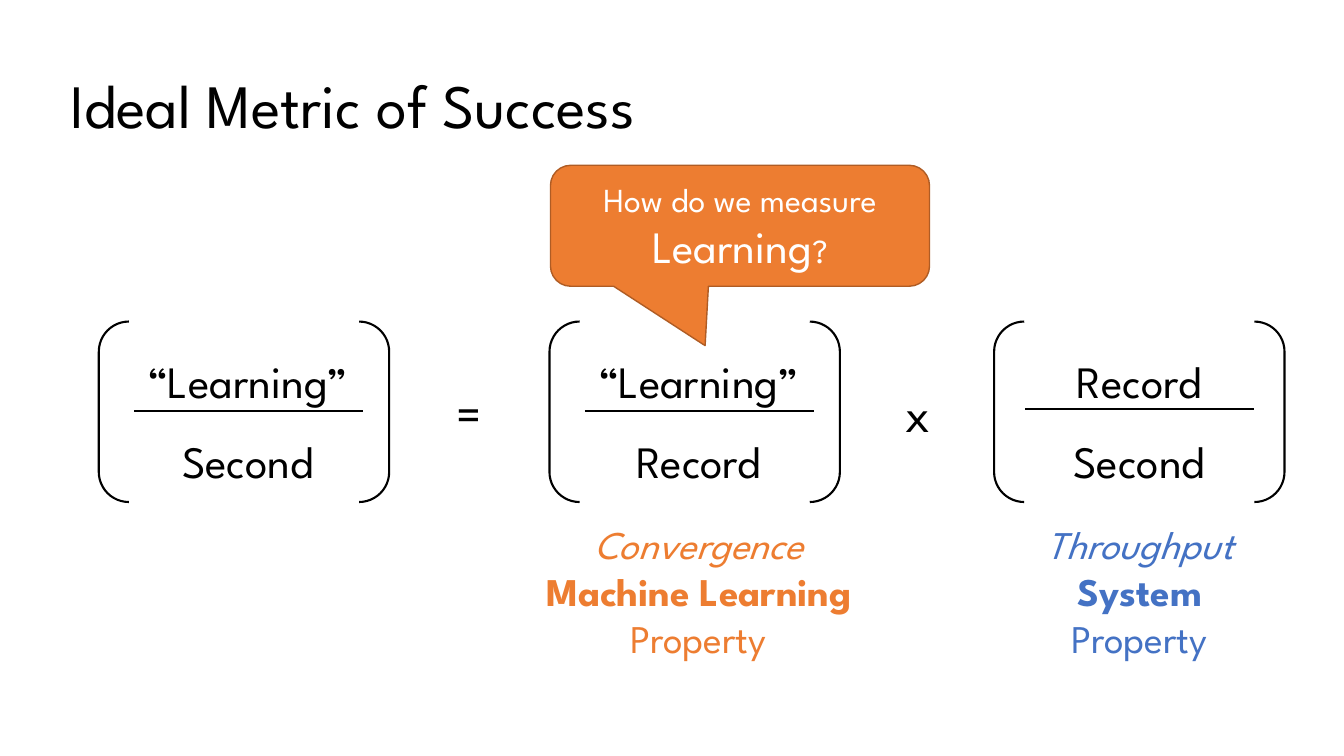
from pptx import Presentation
from pptx.dml.color import RGBColor
from pptx.enum.shapes import MSO_CONNECTOR as Connector, MSO_SHAPE as Preset
from pptx.enum.text import MSO_ANCHOR as Anchor, MSO_AUTO_SIZE as AutoSize, PP_ALIGN as Align
from pptx.oxml.ns import qn
from pptx.util import Pt
from lxml.etree import SubElement

PX = 9144
FONT = "League Spartan"
COLORS = {
    "ink": "000000",
    "paper": "FFFFFF",
    "learning": "ED7D31",
    "learning_edge": "AF5C24",
    "system": "4472C4",
}


def color(name):
    """Return the named colour."""
    return RGBColor.from_string(COLORS[name])


def scale(*lengths):
    """Turn px lengths into EMU."""
    return [length * PX for length in lengths]


def set_all(target, formats):
    """Set every attribute in the dict of formats."""
    for name, value in formats.items():
        setattr(target, name, value)


def add_span(para, text, size, ink="ink", **formats):
    """Add a run of text with its font."""
    span = para.add_run()
    span.text = text
    set_all(span.font, {"name": FONT, "size": Pt(size), **formats})
    span.font.color.rgb = color(ink)


def fill_lines(frame, lines, spacing=1.0):
    """Write centred paragraphs, each a list of span formats."""
    for index, spans in enumerate(lines):
        para = frame.add_paragraph() if index else frame.paragraphs[0]
        set_all(para, {"alignment": Align.CENTER, "line_spacing": spacing})
        for span in spans:
            add_span(para, **span)


def add_label(shapes, box, lines, spacing=1.0):
    """Add an unwrapped text box of centred lines."""
    frame = shapes.add_textbox(*scale(*box)).text_frame
    set_all(frame, {"word_wrap": False, "auto_size": AutoSize.SHAPE_TO_FIT_TEXT})
    fill_lines(frame, lines, spacing)


def add_title(page, box, text):
    """Place and format the title."""
    title = page.shapes.title
    set_all(title, dict(zip(("left", "top", "width", "height"), scale(*box))))
    frame = title.text_frame
    set_all(frame, {"vertical_anchor": Anchor.MIDDLE, "word_wrap": True, "auto_size": AutoSize.NONE})
    para = frame.paragraphs[0]
    set_all(para, {"alignment": Align.LEFT, "line_spacing": 0.9})
    add_span(para, text, 44)


def add_fraction(page, box, terms, shift, rule_drop):
    """Draw two terms around a rule, inside a pair of brackets."""
    left, top, width, height = box
    text_width, rule_width = 252, 227
    center = left + width // 2 + shift
    shapes = page.shapes.add_group_shape().shapes
    add_label(
        shapes,
        (center - text_width // 2, top, text_width, 161),
        [[{"text": term, "size": 32}] for term in terms],
        1.5,
    )
    rule_left, rule_top = center - rule_width // 2, top + rule_drop
    rule = shapes.add_connector(
        Connector.STRAIGHT, *scale(rule_left, rule_top, rule_left + rule_width, rule_top)
    )
    SubElement(rule._element.spPr, qn("a:effectLst"))
    brackets = shapes.add_shape(Preset.DOUBLE_BRACKET, *scale(*box))
    brackets.shadow.inherit = False
    brackets.fill.background()
    for outlined in (rule, brackets):
        outlined.line.color.rgb = color("ink")
        outlined.line.width = Pt(1.5)


def add_property(page, box, name, field, ink):
    """Caption a fraction with the property it stands for."""
    styles = [(name, {"italic": True}), (field, {"bold": True}), ("Property", {})]
    lines = [[{"text": text, "size": 28, "ink": ink, **style}] for text, style in styles]
    add_label(page.shapes, box, lines)


def add_question(page, box):
    """Draw the callout that asks the question."""
    callout = page.shapes.add_shape(Preset.ROUNDED_RECTANGULAR_CALLOUT, *scale(*box))
    callout.shadow.inherit = False
    for index, value in enumerate((-0.092, 0.991, 0.167)):
        callout.adjustments[index] = value
    callout.fill.solid()
    callout.fill.fore_color.rgb = color("learning")
    callout.line.color.rgb = color("learning_edge")
    callout.line.width = Pt(1)
    frame = callout.text_frame
    set_all(frame, {"vertical_anchor": Anchor.MIDDLE, "word_wrap": True})
    lines = [[("How do we measure", 24)], [("Learning", 32), ("?", 24)]]
    fill_lines(
        frame,
        [[{"text": text, "size": size, "ink": "paper"} for text, size in line] for line in lines],
    )


def add_metric_slide(deck):
    """Build the slide with the metric equation."""
    page = deck.slides.add_slide(deck.slide_layouts[5])
    add_title(page, (60, 35, 1181, 145), "Ideal Metric of Success")
    fractions = [
        (98, ("“Learning”", "Second"), 4, 89),
        (545, ("“Learning”", "Record"), 4, 89),
        (986, ("Record", "Second"), 0, 87),
    ]
    for left, terms, shift, rule_drop in fractions:
        add_fraction(page, (left, 319, 288, 179), terms, shift, rule_drop)
    for left, width, sign in ((440, 51, "="), (888, 44, "x")):
        add_label(page.shapes, (left, 374, width, 71), [[{"text": sign, "size": 36}]])
    add_property(page, (505, 511, 376, 151), "Convergence", "Machine Learning", "learning")
    add_property(page, (1012, 511, 237, 151), "Throughput", "System", "system")
    add_question(page, (546, 164, 376, 120))


def main():
    """Make the deck and save it."""
    deck = Presentation()
    deck.slide_width, deck.slide_height = scale(1333, 750)
    add_metric_slide(deck)
    deck.save("out.pptx")


if __name__ == "__main__":
    main()
